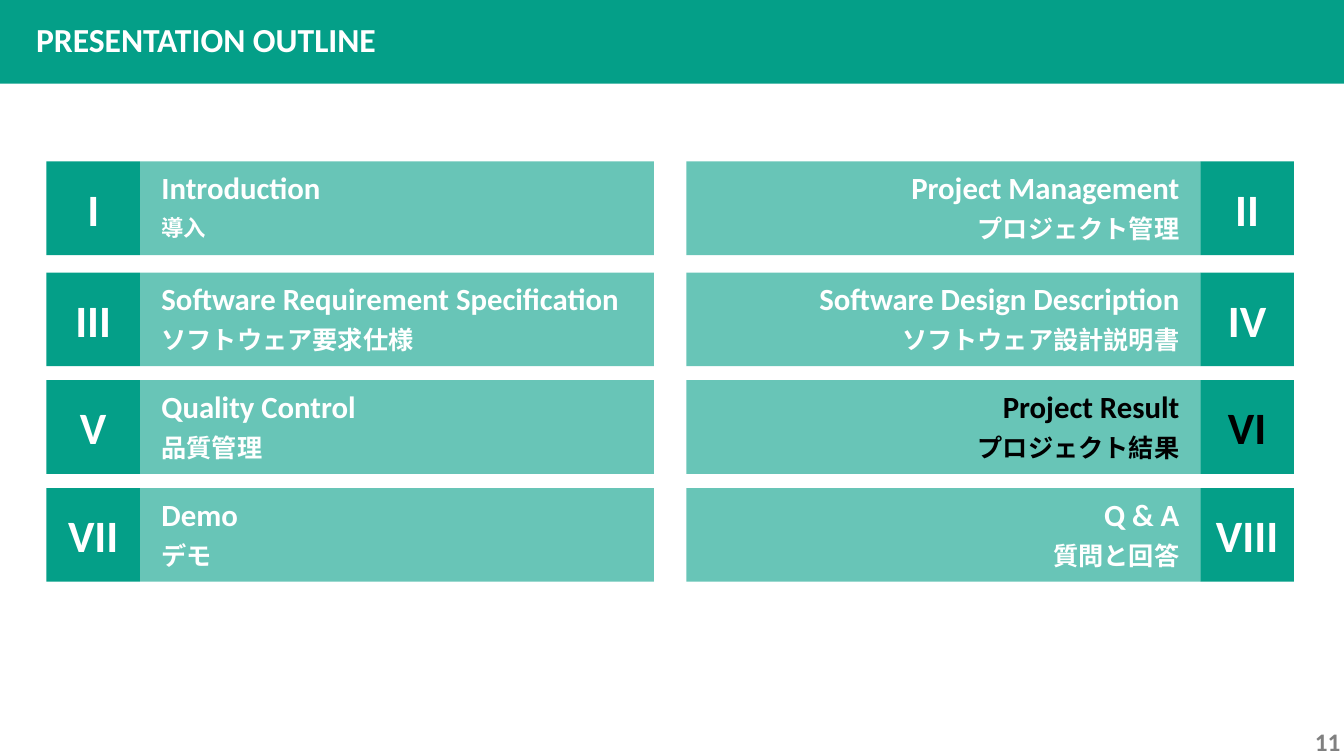
"""Build the presentation outline slide with eight numbered sections."""
from lxml import etree
from pptx import Presentation
from pptx.dml.color import RGBColor
from pptx.enum.shapes import MSO_SHAPE
from pptx.enum.text import MSO_ANCHOR, PP_ALIGN
from pptx.oxml.ns import qn
from pptx.util import Cm, Pt

RECTANGLE = MSO_SHAPE.RECTANGLE
MIDDLE = MSO_ANCHOR.MIDDLE
LEFT, CENTER, RIGHT = PP_ALIGN.LEFT, PP_ALIGN.CENTER, PP_ALIGN.RIGHT

TEAL = RGBColor(0x04, 0x9F, 0x88)
WHITE = RGBColor(0xFF, 0xFF, 0xFF)
BLACK = RGBColor(0x00, 0x00, 0x00)
GRAY = RGBColor(0x80, 0x80, 0x80)
LATIN_FONT = "Calibri"
JAPANESE_FONT = "Times New Roman"

HEADING = "PRESENTATION OUTLINE"
PAGE_NUMBER = "11"
CURRENT = "VI"
SECTIONS = [
    ("I", "Introduction", "導入", 16),
    ("II", "Project Management", "プロジェクト管理", 18),
    ("III", "Software Requirement Specification", "ソフトウェア要求仕様", 18),
    ("IV", "Software Design Description", "ソフトウェア設計説明書", 18),
    ("V", "Quality Control", "品質管理", 18),
    ("VI", "Project Result", "プロジェクト結果", 18),
    ("VII", "Demo", "デモ", 18),
    ("VIII", "Q & A", "質問と回答", 18),
]

SLIDE_WIDTH, SLIDE_HEIGHT = 33.87, 19.05
HEADER_HEIGHT = 2.11
ROW_TOPS = [4.07, 6.87, 9.58, 12.3]
BADGE_SIZE, PANEL_WIDTH, LABEL_WIDTH = 2.36, 12.95, 12.4
COLUMNS = [
    {"badge": 1.17, "panel": 3.53, "label": 3.82, "align": LEFT},
    {"badge": 30.25, "panel": 17.3, "label": 17.57, "align": RIGHT},
]
TITLE_OFFSET, TITLE_HEIGHT = 0.06, 1.19
JAPANESE_OFFSET, JAPANESE_HEIGHT = 1.19, 1.02


def write(box, text, size, color, font=LATIN_FONT, align=LEFT, wrap=True):
    frame = box.text_frame
    frame.text = text
    frame.word_wrap = wrap
    para = frame.paragraphs[0]
    para.alignment = align
    span = para.runs[0].font
    span.name, span.size, span.bold = font, Pt(size), True
    span.color.rgb = color


def add_block(page, left, top, width, height, opacity=100):
    block = page.shapes.add_shape(RECTANGLE, Cm(left), Cm(top), Cm(width), Cm(height))
    block.shadow.inherit = False
    block.fill.solid()
    block.fill.fore_color.rgb = TEAL
    block.line.fill.background()
    if opacity < 100:
        color = block.fill._xPr.find(qn("a:solidFill"))[0]
        etree.SubElement(color, qn("a:alpha"), val=str(opacity * 1000))
    return block


def add_label(page, left, top, width, height, *text, **style):
    box = page.shapes.add_textbox(Cm(left), Cm(top), Cm(width), Cm(height))
    write(box, *text, **style)


def add_section(page, index, numeral, title, japanese, japanese_size):
    row, side = divmod(index, 2)
    top, column = ROW_TOPS[row], COLUMNS[side]
    color = BLACK if numeral == CURRENT else WHITE
    align = column["align"]

    badge = add_block(page, column["badge"], top, BADGE_SIZE, BADGE_SIZE)
    badge.text_frame.vertical_anchor = MIDDLE
    write(badge, numeral, 32, color, align=CENTER, wrap=False)

    add_block(page, column["panel"], top, PANEL_WIDTH, BADGE_SIZE, opacity=60)
    add_label(page, column["label"], top + TITLE_OFFSET, LABEL_WIDTH, TITLE_HEIGHT,
              title, 22, color, align=align)
    add_label(page, column["label"], top + JAPANESE_OFFSET, LABEL_WIDTH, JAPANESE_HEIGHT,
              japanese, japanese_size, color, font=JAPANESE_FONT, align=align)


def main():
    deck = Presentation()
    deck.slide_width, deck.slide_height = Cm(SLIDE_WIDTH), Cm(SLIDE_HEIGHT)
    page = deck.slides.add_slide(deck.slide_layouts[6])

    add_block(page, 0, 0, SLIDE_WIDTH, HEADER_HEIGHT)
    add_label(page, 0.66, 0.36, 9.14, 1.27, HEADING, 24, WHITE, wrap=False)
    for index, section in enumerate(SECTIONS):
        add_section(page, index, *section)
    add_label(page, 32.89, 18.19, 1.17, 1.02, PAGE_NUMBER, 18, GRAY, wrap=False)

    deck.save("out.pptx")


if __name__ == "__main__":
    main()
